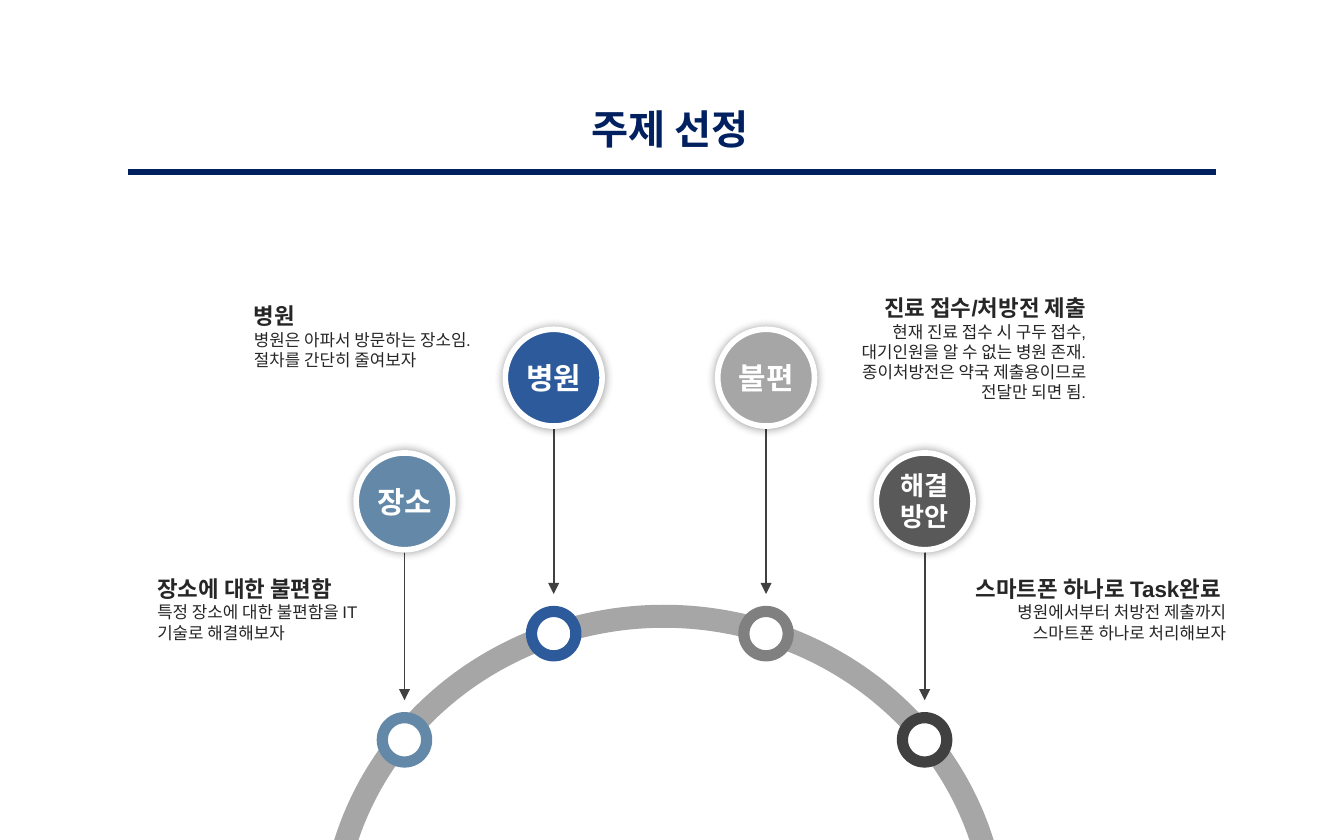
from dataclasses import dataclass

from lxml.etree import SubElement
from pptx import Presentation
from pptx.dml.color import RGBColor
from pptx.enum.shapes import MSO_CONNECTOR, MSO_SHAPE
from pptx.enum.text import MSO_AUTO_SIZE, PP_ALIGN
from pptx.oxml.ns import qn
from pptx.util import Inches, Pt

# The slide is a grid of square cells, 100 columns by 62.5 rows.
COLUMNS, ROWS = 100, 62.5
CELL = Inches(0.1)

COLORS = {
    "navy": "002060",
    "blue": "2D5A9B",
    "steel": "6388A8",
    "silver": "A6A6A6",
    "gray": "808080",
    "slate": "595959",
    "charcoal": "404040",
    "text": "262626",
    "white": "FFFFFF",
    "black": "000000",
}
BODY_FONT = "Arial"
TITLE_FONT = "Noto Sans CJK KR"

BADGE_SIZE, RING_SIZE, LABEL_WIDTH = 7.2, 3.3, 8.8
ARROW_LENGTH, ARROW_GAP = 15.1, 2.95


@dataclass(frozen=True)
class Stop:
    """A badge whose arrow points down to a ring on the arc."""
    column: float
    badge_row: float
    ring_row: float
    badge_color: str
    ring_color: str
    lines: tuple[str, ...]
    size: float = 16


@dataclass(frozen=True)
class Note:
    column: float
    row: float
    width: float
    height: float
    align: PP_ALIGN
    heading: str
    lines: tuple[str, ...]


@dataclass(frozen=True)
class TextStyle:
    size: float
    color: str
    bold: bool = True
    font: str = BODY_FONT


STOPS = (
    Stop(30.1, 37.3, 55.05, "steel", "steel", ("장소",)),
    Stop(41.2, 28.1, 47.15, "blue", "blue", ("병원",)),
    Stop(57, 28.1, 47.15, "silver", "gray", ("불편",)),
    Stop(68.8, 37.3, 55.05, "slate", "charcoal", ("해결", "방안"), 14),
)
NOTES = (
    Note(18.1, 22.1, 18.8, 5.9, PP_ALIGN.LEFT, "병원",
         ("병원은 아파서 방문하는 장소임. 절차를 간단히 줄여보자",)),
    Note(59.1, 21.5, 22.5, 11.6, PP_ALIGN.RIGHT, "진료 접수/처방전 제출",
         ("현재 진료 접수 시 구두 접수,", "대기인원을 알 수 없는 병원 존재.",
          "종이처방전은 약국 제출용이므로", "전달만 되면 됨.")),
    Note(10.9, 42.4, 18.1, 5.9, PP_ALIGN.LEFT, "장소에 대한 불편함",
         ("특정 장소에 대한 불편함을 IT기술로 해결해보자",)),
    Note(68.8, 42.4, 23.2, 5.9, PP_ALIGN.RIGHT, "스마트폰 하나로 Task완료 ",
         ("병원에서부터 처방전 제출까지", "스마트폰 하나로 처리해보자")),
)
HEADING = TextStyle(12, "text")
DETAIL = TextStyle(9, "text", bold=False)


def cells(*counts: float) -> list[int]:
    return [round(count * CELL) for count in counts]


def color(name: str) -> RGBColor:
    return RGBColor.from_string(COLORS[name])


def add_line(slide, start: tuple, end: tuple, line_color: str, width: float):
    line = slide.shapes.add_connector(MSO_CONNECTOR.STRAIGHT, *cells(*start, *end))
    line.line.color.rgb = color(line_color)
    line.line.width = Pt(width)
    SubElement(line._element.spPr, qn("a:effectLst"))
    return line


def add_arrow(slide, column: float, top: float, bottom: float) -> None:
    arrow = add_line(slide, (column, top), (column, bottom), "charcoal", 1)
    SubElement(arrow.line._get_or_add_ln(), qn("a:tailEnd"), type="triangle")


def add_circle(slide, column: float, row: float, size: float,
               fill: str, outline: str, width: float):
    """Add a circle centred on a grid point."""
    circle = slide.shapes.add_shape(
        MSO_SHAPE.OVAL, *cells(column - size / 2, row - size / 2, size, size))
    circle.shadow.inherit = False
    circle.fill.solid()
    circle.fill.fore_color.rgb = color(fill)
    circle.line.color.rgb = color(outline)
    circle.line.width = Pt(width)
    return circle


def add_glow_shadow(shape) -> None:
    """Put a soft, centred shadow around the shape."""
    effects = shape._element.spPr.find(qn("a:effectLst"))
    shadow = SubElement(effects, qn("a:outerShdw"), blurRad=str(Pt(5)),
                        dist="0", dir="0", algn="ctr", rotWithShape="0")
    tint = SubElement(shadow, qn("a:srgbClr"), val=COLORS["black"])
    SubElement(tint, qn("a:alpha"), val="40000")


def add_text(slide, box: tuple, lines: list[tuple[str, TextStyle]],
             align: PP_ALIGN, margins: tuple = (0.8, 0.4), wrap: bool = True) -> None:
    frame = slide.shapes.add_textbox(*cells(*box)).text_frame
    frame.word_wrap = wrap
    frame.auto_size = MSO_AUTO_SIZE.SHAPE_TO_FIT_TEXT
    side, end = cells(*margins)
    frame.margin_left = frame.margin_right = side
    frame.margin_top = frame.margin_bottom = end
    frame.text = "\n".join(text for text, _ in lines)
    for paragraph, (_, style) in zip(frame.paragraphs, lines):
        paragraph.alignment = align
        paragraph.font.name = style.font
        paragraph.font.size = Pt(style.size)
        paragraph.font.bold = style.bold
        paragraph.font.color.rgb = color(style.color)


def add_arc(slide) -> None:
    arc = slide.shapes.add_shape(MSO_SHAPE.BLOCK_ARC, *cells(23.8, 45, 51.2, 49))
    arc.shadow.inherit = False
    arc.fill.solid()
    arc.fill.fore_color.rgb = color("silver")
    arc.line.fill.background()
    # Angles are in units of 100000/60000 of a degree: 108 is 180 degrees.
    for index, value in enumerate((108, 215.91, 0.035)):
        arc.adjustments[index] = value


def add_stop(slide, stop: Stop) -> None:
    arrow_end = stop.ring_row - ARROW_GAP
    add_arrow(slide, stop.column, arrow_end - ARROW_LENGTH, arrow_end)
    badge = add_circle(slide, stop.column, stop.badge_row, BADGE_SIZE,
                       stop.badge_color, "white", 3)
    add_glow_shadow(badge)
    add_circle(slide, stop.column, stop.ring_row, RING_SIZE, "white", stop.ring_color, 6)
    height = 3.5 if len(stop.lines) == 1 else 5.6
    box = (stop.column - LABEL_WIDTH / 2, stop.badge_row - height / 2, LABEL_WIDTH, height)
    style = TextStyle(stop.size, "white")
    add_text(slide, box, [(line, style) for line in stop.lines], PP_ALIGN.CENTER)


def add_note(slide, note: Note) -> None:
    lines = [(note.heading, HEADING), *((line, DETAIL) for line in note.lines)]
    add_text(slide, (note.column, note.row, note.width, note.height), lines, note.align)


def main() -> None:
    presentation = Presentation()
    presentation.slide_width, presentation.slide_height = cells(COLUMNS, ROWS)
    slide = presentation.slides.add_slide(presentation.slide_layouts[6])
    add_arc(slide)
    for stop in STOPS:
        add_stop(slide, stop)
    for note in NOTES:
        add_note(slide, note)
    title = TextStyle(21.6, "navy", font=TITLE_FONT)
    add_text(slide, (43, 7.3, 14.9, 4.6), [("주제 선정", title)], PP_ALIGN.LEFT,
             margins=(1, 0.5), wrap=False)
    add_line(slide, (9.5, 12.8), (90.5, 12.8), "navy", 3)
    presentation.save("out.pptx")


if __name__ == "__main__":
    main()
